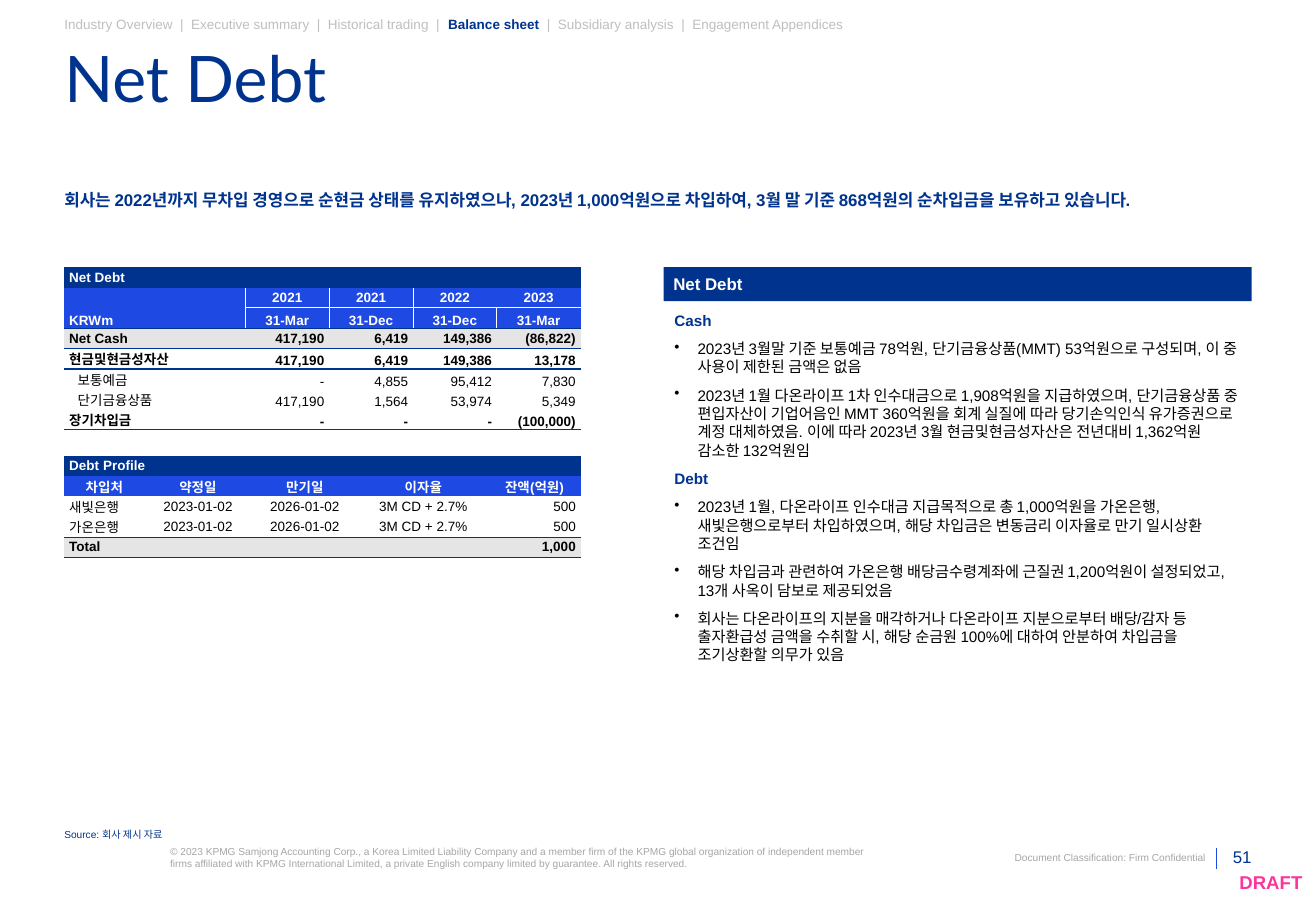
from dataclasses import dataclass

from lxml.etree import SubElement
from pptx import Presentation
from pptx.dml.color import RGBColor
from pptx.enum.shapes import MSO_CONNECTOR, MSO_SHAPE
from pptx.enum.text import MSO_ANCHOR as ANCHOR, PP_ALIGN as ALIGN
from pptx.oxml.ns import qn
from pptx.util import Inches, Pt


@dataclass(frozen=True)
class Theme:
    navy: str = "00338D"
    blue: str = "1E49E2"
    pink: str = "FD349C"
    grey: str = "A6A6A6"
    pale: str = "BFBFBF"
    band: str = "E5E5E5"
    white: str = "FFFFFF"
    black: str = "000000"
    face: str = "Arial"
    title_face: str = "Lato"
    title: float = 38
    stamp: float = 11
    lead: float = 10
    body: float = 9
    table: float = 8
    note: float = 6
    thin: float = 0.5
    thick: float = 1


T = Theme()
W, H = 10.83, 7.5
LEFT, FULL = 4.89, 90.03
NO_GRID = "{2D5ABB26-0587-4C30-8999-92F81FD0307C}"

SECTIONS = ["Industry Overview", "Executive summary", "Historical trading",
            "Balance sheet", "Subsidiary analysis", "Engagement Appendices"]
CURRENT = "Balance sheet"
SEPARATOR = "  |  "
TITLE = "Net Debt"
LEAD = ("회사는 2022년까지 무차입 경영으로 순현금 상태를 유지하였으나, 2023년 1,000억원으로 차입하여, "
        "3월 말 기준 868억원의 순차입금을 보유하고 있습니다.")
SOURCE = "Source: 회사 제시 자료"
COPYRIGHT = ("© 2023 KPMG Samjong Accounting Corp., a Korea Limited Liability Company and a member firm of "
             "the KPMG global organization of independent member firms affiliated with KPMG International "
             "Limited, a private English company limited by guarantee. All rights reserved.")
CLASSIFICATION = "Document Classification: Firm Confidential"

COMMENTARY = [
    ("Cash", [
        "2023년 3월말 기준 보통예금 78억원, 단기금융상품(MMT) 53억원으로 구성되며, 이 중 사용이 제한된 금액은 없음",
        "2023년 1월 다온라이프 1차 인수대금으로 1,908억원을 지급하였으며, 단기금융상품 중 편입자산이 기업어음인 "
        "MMT 360억원을 회계 실질에 따라 당기손익인식 유가증권으로 계정 대체하였음. 이에 따라 2023년 3월 "
        "현금및현금성자산은 전년대비 1,362억원 감소한 132억원임",
    ]),
    ("Debt", [
        "2023년 1월, 다온라이프 인수대금 지급목적으로 총 1,000억원을 가온은행, 새빛은행으로부터 차입하였으며, "
        "해당 차입금은 변동금리 이자율로 만기 일시상환 조건임",
        "해당 차입금과 관련하여 가온은행 배당금수령계좌에 근질권 1,200억원이 설정되었고, 13개 사옥이 담보로 제공되었음",
        "회사는 다온라이프의 지분을 매각하거나 다온라이프 지분으로부터 배당/감자 등 출자환급성 금액을 수취할 시, "
        "해당 순금원 100%에 대하여 안분하여 차입금을 조기상환할 의무가 있음",
    ]),
]


@dataclass(frozen=True)
class RowStyle:
    fill: str = ""
    ink: str = T.black
    bold: bool = False
    anchor: ANCHOR = ANCHOR.MIDDLE
    aligns: str = "lrrrr"
    inset: float = 0.04
    under: tuple = ()
    under_from: int = 0
    dividers: tuple = ()


NAVY_THIN, NAVY_THICK = (T.navy, T.thin), (T.navy, T.thick)
WHITE_THIN = (T.white, T.thin)
BANNER = RowStyle(T.navy, T.white, True)
YEARS = RowStyle(T.blue, T.white, True, aligns="lcccc", under=WHITE_THIN, under_from=1, dividers=(0, 1))
DATES = RowStyle(T.blue, T.white, True, ANCHOR.BOTTOM, "lcccc", under=NAVY_THIN, dividers=(0, 1, 2, 3))
NET = RowStyle(T.band, bold=True, under=NAVY_THICK)
GROUP = RowStyle(bold=True, anchor=ANCHOR.BOTTOM)
DETAIL = RowStyle(anchor=ANCHOR.BOTTOM, inset=0.11)
CLOSING = RowStyle(bold=True, anchor=ANCHOR.BOTTOM, under=NAVY_THICK)
HEADS = RowStyle(T.blue, T.white, True, aligns="ccccc")
LOAN = RowStyle(T.white, aligns="lcccr")
LAST_LOAN = RowStyle(T.white, aligns="lcccr", under=NAVY_THIN)
TOTAL = RowStyle(T.band, bold=True, under=NAVY_THIN)

NET_DEBT = [
    (BANNER, ["Net Debt", "", "", "", ""]),
    (YEARS, ["", "2021", "2021", "2022", "2023"]),
    (DATES, ["KRWm", "31-Mar", "31-Dec", "31-Dec", "31-Mar"]),
    (NET, ["Net Cash", "417,190", "6,419", "149,386", "(86,822)"]),
    (GROUP, ["현금및현금성자산", "417,190", "6,419", "149,386", "13,178"]),
    (DETAIL, ["보통예금", "-", "4,855", "95,412", "7,830"]),
    (DETAIL, ["단기금융상품", "417,190", "1,564", "53,974", "5,349"]),
    (CLOSING, ["장기차입금", "-", "-", "-", "(100,000)"]),
]
DEBT_PROFILE = [
    (BANNER, ["Debt Profile", "", "", "", ""]),
    (HEADS, ["차입처", "약정일", "만기일", "이자율", "잔액(억원)"]),
    (LOAN, ["새빛은행", "2023-01-02", "2026-01-02", "3M CD + 2.7%", "500"]),
    (LAST_LOAN, ["가온은행", "2023-01-02", "2026-01-02", "3M CD + 2.7%", "500"]),
    (TOTAL, ["Total", "", "", "", "1,000"]),
]
TABLES = [
    (NET_DEBT, (LEFT, 29.33, 39.24, 17.87), (1.49, 0.69, 0.69, 0.69, 0.69)),
    (DEBT_PROFILE, (LEFT, 50, 39.24, 11.2), (0.66, 0.88, 0.88, 1.07, 0.76)),
]
ALIGNS = {"l": ALIGN.LEFT, "c": ALIGN.CENTER, "r": ALIGN.RIGHT}


def place(left, top, width, height):
    return [Inches(share * side / 100) for share, side in zip((left, top, width, height), (W, H, W, H))]


def style(font, size, color, bold=False, face=T.face):
    font.size, font.bold, font.name = Pt(size), bold, face
    font.color.rgb = RGBColor.from_string(color)


def set_frame(frame, anchor=ANCHOR.TOP, side=0):
    frame.word_wrap, frame.vertical_anchor = True, anchor
    frame.margin_left = frame.margin_right = Inches(side)
    frame.margin_top = frame.margin_bottom = 0
    return frame


def add_text(slide, box, text, size, color, bold=False, face=T.face,
             align="l", anchor=ANCHOR.TOP, spacing=1.0):
    frame = set_frame(slide.shapes.add_textbox(*place(*box)).text_frame, anchor)
    line = frame.paragraphs[0]
    line.text, line.alignment, line.line_spacing = text, ALIGNS[align], spacing
    style(line.font, size, color, bold, face)


def add_navigation(slide):
    frame = set_frame(slide.shapes.add_textbox(*place(LEFT, 1.6, 80.98, 1.87)).text_frame)
    line = frame.paragraphs[0]
    line.line_spacing = 1.1
    at = SECTIONS.index(CURRENT)
    before, after = SEPARATOR.join(SECTIONS[:at]), SEPARATOR.join(SECTIONS[at + 1:])
    for text, active in ((before + SEPARATOR, False), (CURRENT, True), (SEPARATOR + after, False)):
        part = line.add_run()
        part.text = text
        style(part.font, T.table, T.navy if active else T.pale, active)


def add_commentary(slide):
    banner = slide.shapes.add_shape(MSO_SHAPE.RECTANGLE, *place(50.42, 29.33, 44.69, 3.73))
    banner.shadow.inherit = False
    banner.fill.solid()
    banner.fill.fore_color.rgb = RGBColor.from_string(T.navy)
    banner.line.fill.background()
    heading = set_frame(banner.text_frame, ANCHOR.MIDDLE, 0.08).paragraphs[0]
    heading.text, heading.alignment = TITLE, ALIGN.LEFT
    style(heading.font, T.lead, T.white, True)

    frame = set_frame(slide.shapes.add_textbox(*place(50.51, 34.13, 44.69, 50.8)).text_frame, side=0.08)
    lines = [(text, text == topic) for topic, points in COMMENTARY for text in (topic, *points)]
    for i, (text, is_topic) in enumerate(lines):
        line = frame.add_paragraph() if i else frame.paragraphs[0]
        line.text, line.space_after = text, Pt(6)
        if not is_topic:
            props = line._p.get_or_add_pPr()
            props.set("marL", str(Inches(0.19)))
            props.set("indent", str(-Inches(0.19)))
            SubElement(props, qn("a:buChar"), char="•")
        style(line.font, T.body, T.navy if is_topic else T.black, is_topic)


def add_border(cell, side, color, width):
    edge = SubElement(cell._tc.get_or_add_tcPr(), qn("a:ln" + side), w=str(Pt(width)))
    SubElement(SubElement(edge, qn("a:solidFill")), qn("a:srgbClr"), val=color)


def fill_cell(cell, text, look, above, col):
    cell.vertical_anchor = look.anchor
    cell.margin_left = Inches(look.inset if col == 0 else 0.04)
    cell.margin_right, cell.margin_top, cell.margin_bottom = Inches(0.04), 0, 0
    if col - 1 in look.dividers:
        add_border(cell, "L", *WHITE_THIN)
    if col in look.dividers:
        add_border(cell, "R", *WHITE_THIN)
    for side, row in (("T", above), ("B", look)):
        if row.under and col >= row.under_from:
            add_border(cell, side, *row.under)
    if look.fill:
        cell.fill.solid()
        cell.fill.fore_color.rgb = RGBColor.from_string(look.fill)
    else:
        cell.fill.background()
    line = cell.text_frame.paragraphs[0]
    line.text, line.alignment = text, ALIGNS[look.aligns[col]]
    style(line.font, T.table, look.ink, look.bold)
    if not text:
        SubElement(line._p, qn("a:endParaRPr"), sz=str(int(T.table * 100)))


def add_grid(slide, rows, box, widths):
    area = place(*box)
    grid = slide.shapes.add_table(len(rows), len(widths), *area).table
    grid.first_row = grid.horz_banding = False
    grid._tbl.tblPr.find(qn("a:tableStyleId")).text = NO_GRID
    for column, width in zip(grid.columns, widths):
        column.width = Inches(width)
    above = RowStyle()
    for r, (look, texts) in enumerate(rows):
        grid.rows[r].height = area[3] // len(rows)
        for c, text in enumerate(texts):
            fill_cell(grid.cell(r, c), text, look, above, c)
        above = look
    if rows is DEBT_PROFILE:
        grid.cell(0, 0).merge(grid.cell(0, len(widths) - 1))


def add_footer(slide):
    add_text(slide, (LEFT, 90.93, 83.66, 1.33), SOURCE, T.note, T.navy)
    add_text(slide, (12.93, 92.8, 54.57, 2.67), COPYRIGHT, T.note, T.grey)
    add_text(slide, (75, 93.47, 16.6, 1.33), CLASSIFICATION, T.note, T.grey, align="r")
    add_text(slide, (92.61, 93.07, 2.49, 2.13), "51", T.lead, T.navy, align="r", anchor=ANCHOR.BOTTOM)
    add_text(slide, (92.98, 95.3, 6, 3.6), "DRAFT", T.stamp, T.pink, True,
             align="r", anchor=ANCHOR.MIDDLE, spacing=0.8)
    x, top, _, height = place(92.43, 93.07, 0, 2.27)
    rule = slide.shapes.add_connector(MSO_CONNECTOR.STRAIGHT, x, top, x, top + height)
    rule.line.color.rgb, rule.line.width = RGBColor.from_string(T.blue), Pt(T.thin)
    SubElement(rule._element.spPr, qn("a:effectLst"))


def main():
    deck = Presentation()
    deck.slide_width, deck.slide_height = Inches(W), Inches(H)
    slide = deck.slides.add_slide(deck.slide_layouts[6])
    add_navigation(slide)
    add_text(slide, (LEFT, 6.53, FULL, 10.53), TITLE, T.title, T.navy, face=T.title_face, spacing=0.7)
    add_text(slide, (LEFT, 20.8, FULL, 7.2), LEAD, T.lead, T.navy, True)
    for rows, box, widths in TABLES:
        add_grid(slide, rows, box, widths)
    add_commentary(slide)
    add_footer(slide)
    deck.save("out.pptx")


if __name__ == "__main__":
    main()
